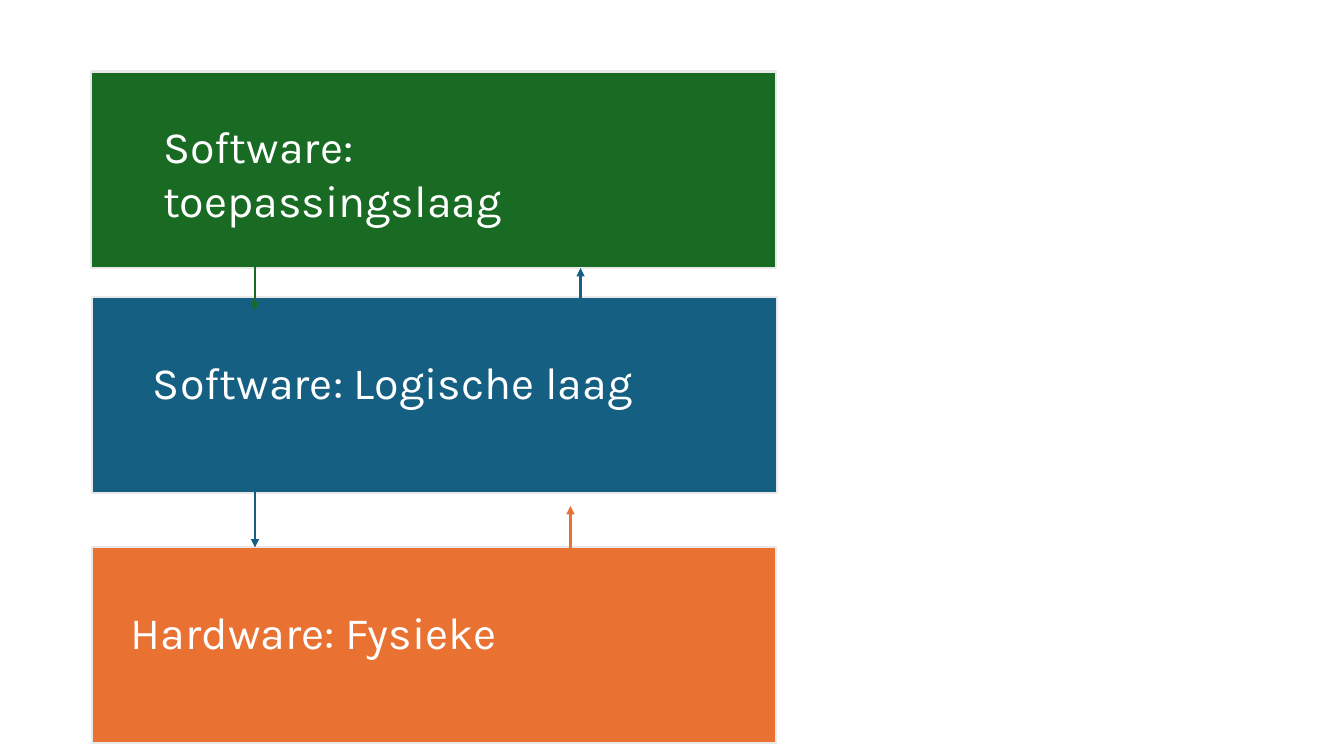
import pptx
import pptx.dml.color
import pptx.enum.shapes
import pptx.enum.text
import pptx.oxml
import pptx.oxml.ns
import pptx.util

Pt = pptx.util.Pt
FORMAT = {"name": "Karla", "size": Pt(32)}
LAYERS = [
    {"box": (64.8, 51.1, 489.6, 140.2), "color": "196B24",
     "label": "Software: toepassingslaag", "label_box": (44.6, 30.2, 397, 46),
     "arrows": [(117.4, 96.5, 170.6)]},
    {"box": (65.5, 212.4, 489.6, 139.7), "color": "156082",
     "label": "Software: Logische laag", "label_box": (36.7, 37.4, 412, 46),
     "arrows": [(349.2, 49, -20.9), (116.7, 105.1, 178.6)]},
    {"box": (65.5, 391, 488.9, 139.7), "color": "E97132",
     "label": "Hardware: Fysieke", "label_box": (20.9, 37.4, 400, 46),
     "arrows": [(342, 53.3, -29.5)]},
]


def rgb(color):
    """Turn a hex string into a colour."""
    return pptx.dml.color.RGBColor.from_string(color)


def add_block(slide, box, color):
    """Draw the filled rectangle of a layer."""
    shape = slide.shapes.add_shape(
        pptx.enum.shapes.MSO_SHAPE.RECTANGLE, *map(Pt, box))
    shape.shadow.inherit = False
    shape.fill.solid()
    shape.fill.fore_color.rgb = rgb(color)
    shape.line.color.rgb = rgb("E8E8E8")
    shape.line.width = Pt(1.5)


def add_label(slide, box, label, label_box):
    """Write the label of a layer, placed from the layer's corner."""
    left, top = box[:2]
    x, y, width, height = label_box
    shape = slide.shapes.add_textbox(
        Pt(left + x), Pt(top + y), Pt(width), Pt(height))
    frame = shape.text_frame
    frame.word_wrap = True
    frame.auto_size = pptx.enum.text.MSO_AUTO_SIZE.SHAPE_TO_FIT_TEXT
    run = frame.paragraphs[0].add_run()
    run.text = label
    for name, value in FORMAT.items():
        setattr(run.font, name, value)
    run.font.color.rgb = rgb("FFFFFF")


def add_arrow(slide, box, color, arrow):
    """Draw a vertical arrow, placed from the layer's corner."""
    left, top = box[:2]
    x, start, end = arrow
    connector = slide.shapes.add_connector(
        pptx.enum.shapes.MSO_CONNECTOR.STRAIGHT,
        Pt(left + x), Pt(top + start), Pt(left + x), Pt(top + end))
    connector.line.color.rgb = rgb(color)
    connector.line.width = Pt(1.5)
    properties = connector._element.spPr
    line = properties.find(pptx.oxml.ns.qn("a:ln"))
    tail = pptx.oxml.parse_xml(
        f'<a:tailEnd {pptx.oxml.ns.nsdecls("a")} type="triangle"/>')
    line.append(tail)
    properties.append(pptx.oxml.parse_xml(
        f'<a:effectLst {pptx.oxml.ns.nsdecls("a")}/>'))


def add_layer_diagram(slide, layers):
    """Stack the blocks, then their labels, then the arrows on top."""
    for layer in layers:
        add_block(slide, layer["box"], layer["color"])
    for layer in layers:
        add_label(slide, layer["box"], layer["label"], layer["label_box"])
    for layer in layers:
        for arrow in layer["arrows"]:
            add_arrow(slide, layer["box"], layer["color"], arrow)


def main():
    """Build and save the presentation."""
    presentation = pptx.Presentation()
    presentation.slide_width = Pt(960)
    presentation.slide_height = Pt(540)
    slide = presentation.slides.add_slide(presentation.slide_layouts[6])
    add_layer_diagram(slide, LAYERS)
    presentation.save("out.pptx")


if __name__ == "__main__":
    main()
